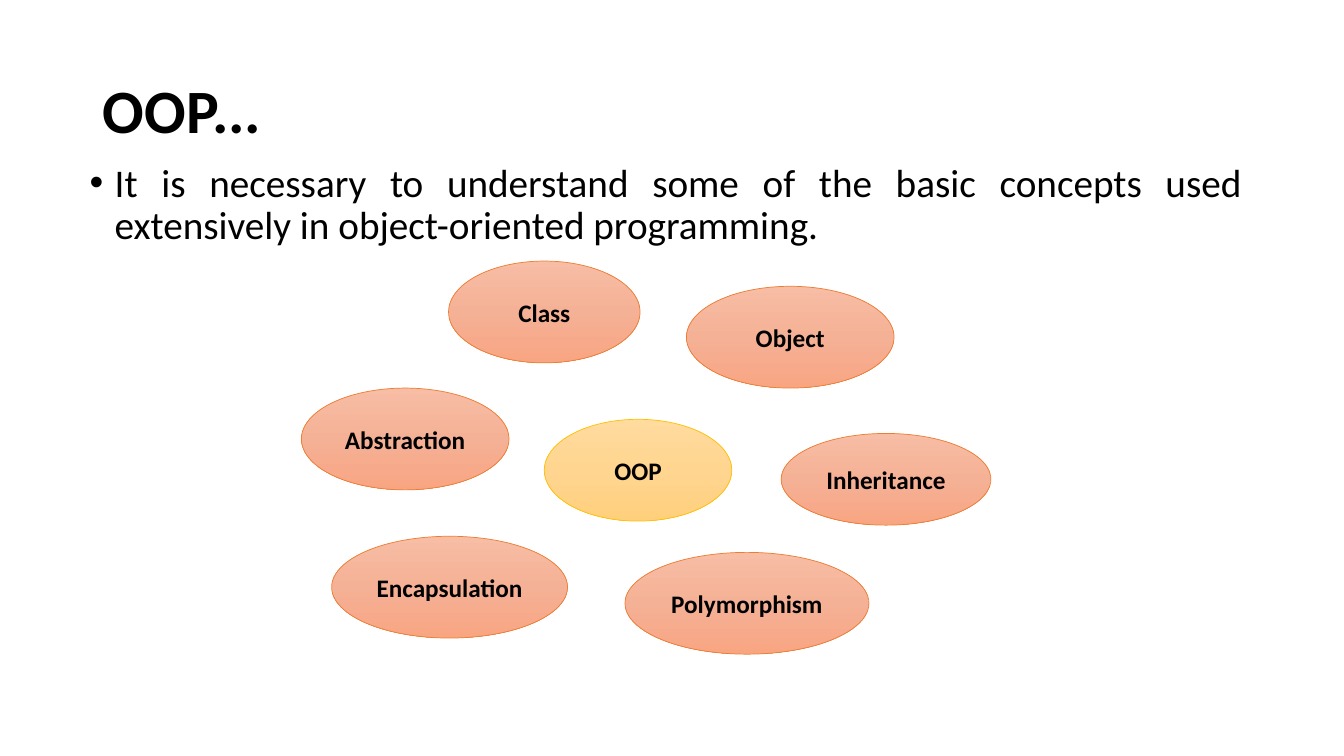
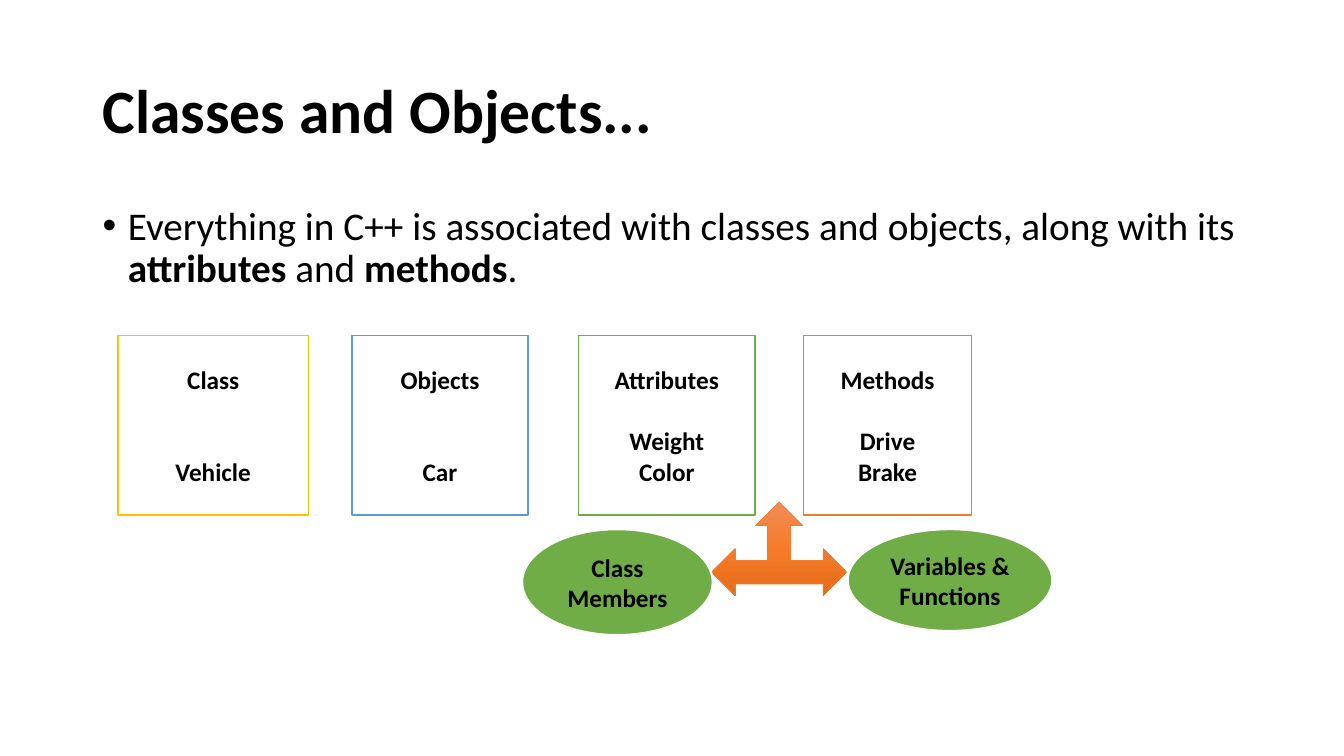
import copy
from dataclasses import dataclass

import lxml.etree
import pptx
import pptx.dml.color
import pptx.enum.shapes
import pptx.enum.text
import pptx.oxml.ns
import pptx.util

# Grid: square cells, ten to the inch
CELL = pptx.util.Inches(0.1)
COLUMNS, ROWS = 133.33, 75

FONT = "Calibri"
BLACK, WHITE = "000000", "FFFFFF"
ORANGE, GOLD, BLUE, GREEN = "ED7D31", "FFC000", "5B9BD5", "70AD47"
PEACH_FADE = ("F7BDA5", "F5B196", "F8A582")
GOLD_FADE = ("FFDB9E", "FFD590", "FFD07C")
ORANGE_FADE = ("F18C57", "F67B28", "E56C19")
TITLE_SIZE, BODY_SIZE, LABEL_SIZE = 44, 28, 18
LABEL_LINE = 22  # height in points of one label line
LINE_SPACING = 0.9

SHAPE = pptx.enum.shapes.MSO_SHAPE
ALIGN = pptx.enum.text.PP_ALIGN
MIDDLE = pptx.enum.text.MSO_ANCHOR.MIDDLE


@dataclass(frozen=True)
class Area:
    """A place on the grid, in columns and rows."""
    column: float
    row: float
    width: float
    height: float

    def lengths(self) -> list[int]:
        return [round(cells * CELL)
                for cells in (self.column, self.row, self.width, self.height)]


@dataclass(frozen=True)
class Look:
    """One fill colour, or three for a gradient from top to bottom."""
    fill: tuple[str, ...]
    line: str
    line_width: float


@dataclass(frozen=True)
class Bubble:
    label: str
    area: Area
    look: Look


@dataclass(frozen=True)
class Card:
    heading: str
    examples: tuple[str, ...]
    column: float
    width: float
    line: str


TITLE_AREA = Area(9.2, 4, 115, 14.5)
CARD_ROW, CARD_HEIGHT, CARD_LINES = 33.3, 17.8, 4

PEACH = Look(PEACH_FADE, ORANGE, 0.5)
YELLOW = Look(GOLD_FADE, GOLD, 0.5)
ARROW = Look(ORANGE_FADE, ORANGE, 0.5)
SOLID_GREEN = Look((GREEN,), WHITE, 1.5)

CONCEPTS = (
    Bubble("OOP", Area(54, 41.6, 18.6, 10.1), YELLOW),
    Bubble("Abstraction", Area(29.9, 38.5, 20.6, 10.1), PEACH),
    Bubble("Class", Area(44.5, 25.9, 19, 10.1), PEACH),
    Bubble("Object", Area(68.1, 28.4, 20.6, 10.1), PEACH),
    Bubble("Encapsulation", Area(32.9, 53.2, 23.4, 10.1), PEACH),
    Bubble("Polymorphism", Area(62, 54.8, 24.2, 10.1), PEACH),
    Bubble("Inheritance", Area(77.5, 43, 20.8, 9.1), PEACH),
)
CARDS = (
    Card("Class", ("Vehicle",), 11.7, 18.9, GOLD),
    Card("Objects", ("Car",), 34.9, 17.5, BLUE),
    Card("Attributes", ("Weight", "Color"), 57.4, 17.5, GREEN),
    Card("Methods", ("Drive", "Brake"), 79.7, 16.7, ORANGE),
)
MEMBERS = (
    Bubble("Class Members", Area(51.8, 52.5, 18.9, 10.5), SOLID_GREEN),
    Bubble("Variables & Functions", Area(84.1, 52.5, 20.3, 10.1), SOLID_GREEN),
)


def color(value: str) -> pptx.dml.color.RGBColor:
    return pptx.dml.color.RGBColor.from_string(value)


def set_font(para, size: float, bold: bool = False) -> None:
    para.font.name = FONT
    para.font.size = pptx.util.Pt(size)
    para.font.bold = bold
    para.font.color.rgb = color(BLACK)


def add_page(deck, title: str):
    page = deck.slides.add_slide(deck.slide_layouts[5])
    box = page.shapes.title
    box.left, box.top, box.width, box.height = TITLE_AREA.lengths()
    frame = box.text_frame
    frame.text = title
    frame.vertical_anchor = MIDDLE
    frame.auto_size = pptx.enum.text.MSO_AUTO_SIZE.NONE
    para = frame.paragraphs[0]
    para.alignment = ALIGN.LEFT
    para.line_spacing = LINE_SPACING
    set_font(para, TITLE_SIZE, bold=True)
    return page


def add_bullet(page, area: Area, spans: tuple[tuple[str, bool], ...], alignment) -> None:
    """Add one bulleted paragraph; each span is a text and whether it is bold."""
    frame = page.shapes.add_textbox(*area.lengths()).text_frame
    frame.word_wrap = True
    para = frame.paragraphs[0]
    para.alignment = alignment
    para.line_spacing = LINE_SPACING
    properties = para._p.get_or_add_pPr()
    indent = pptx.util.Inches(0.25)
    properties.set("marL", str(indent))
    properties.set("indent", str(-indent))
    qn = pptx.oxml.ns.qn
    lxml.etree.SubElement(properties, qn("a:buFont"), typeface="Arial")
    lxml.etree.SubElement(properties, qn("a:buChar"), char="•")
    set_font(para, BODY_SIZE)
    for text, bold in spans:
        span = para.add_run()
        span.text = text
        if bold:
            span.font.bold = True


def add_figure(page, kind, area: Area, look: Look):
    figure = page.shapes.add_shape(kind, *area.lengths())
    figure.shadow.inherit = False
    figure.line.color.rgb = color(look.line)
    figure.line.width = pptx.util.Pt(look.line_width)
    if len(look.fill) == 1:
        figure.fill.solid()
        figure.fill.fore_color.rgb = color(look.fill[0])
        return figure
    figure.fill.gradient()
    figure.fill.gradient_angle = 270
    stop_list = figure._element.spPr.xpath(".//a:gsLst")[0]
    stop_list.append(copy.deepcopy(stop_list[-1]))
    for index, (stop, value) in enumerate(zip(figure.fill.gradient_stops, look.fill)):
        stop.position = index / 2
        stop.color.rgb = color(value)
    return figure


def add_labels(figure, lines: tuple[str, ...], gap: float = 0) -> None:
    """Write centred lines, with a gap in points below the first."""
    frame = figure.text_frame
    frame.word_wrap = True
    frame.vertical_anchor = MIDDLE
    for index, line in enumerate(lines):
        para = frame.add_paragraph() if index else frame.paragraphs[0]
        para.text = line
        para.alignment = ALIGN.CENTER
        if index == 1:
            para.space_before = pptx.util.Pt(gap)
        set_font(para, LABEL_SIZE, bold=True)


def add_bubble(page, bubble: Bubble) -> None:
    figure = add_figure(page, SHAPE.OVAL, bubble.area, bubble.look)
    add_labels(figure, (bubble.label,))


def add_card(page, card: Card) -> None:
    area = Area(card.column, CARD_ROW, card.width, CARD_HEIGHT)
    figure = add_figure(page, SHAPE.RECTANGLE, area, Look((WHITE,), card.line, 1))
    lines = (card.heading, *card.examples)
    add_labels(figure, lines, (CARD_LINES - len(lines)) * LABEL_LINE)


def add_concepts_page(deck) -> None:
    page = add_page(deck, "OOP...")
    text = ("It is necessary to understand some of the basic concepts used "
            "extensively in object-oriented programming.")
    add_bullet(page, Area(7.9, 15.7, 116.3, 51.8), ((text, False),), ALIGN.JUSTIFY)
    for bubble in CONCEPTS:
        add_bubble(page, bubble)


def add_classes_page(deck) -> None:
    page = add_page(deck, "Classes and Objects...")
    spans = (
        ("Everything in C++ is associated with classes and objects, along with its ", False),
        ("attributes", True),
        (" and ", False),
        ("methods", True),
        (".", False),
    )
    add_bullet(page, Area(9.2, 20, 115, 47.6), spans, ALIGN.LEFT)
    for card in CARDS:
        add_card(page, card)
    add_figure(page, SHAPE.LEFT_RIGHT_UP_ARROW, Area(70.6, 49.8, 13.4, 9.3), ARROW)
    for bubble in MEMBERS:
        add_bubble(page, bubble)


def main() -> None:
    deck = pptx.Presentation()
    deck.slide_width = round(COLUMNS * CELL)
    deck.slide_height = ROWS * CELL
    add_concepts_page(deck)
    add_classes_page(deck)
    deck.save("out.pptx")


if __name__ == "__main__":
    main()
